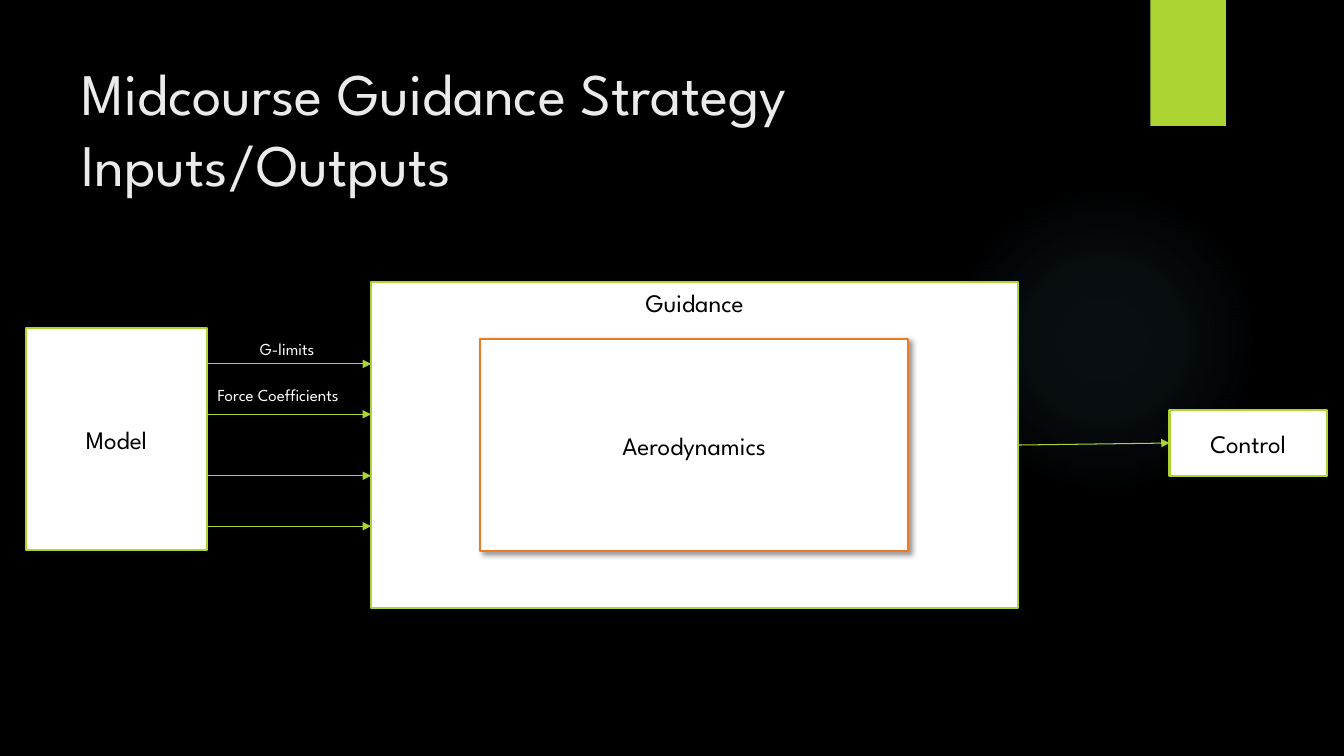
from lxml import etree
from pptx import Presentation
from pptx.dml.color import RGBColor
from pptx.enum.shapes import MSO_CONNECTOR, MSO_SHAPE
from pptx.enum.text import MSO_ANCHOR, PP_ALIGN
from pptx.oxml.ns import qn
from pptx.util import Inches, Pt

RECT, OVAL = MSO_SHAPE.RECTANGLE, MSO_SHAPE.OVAL
STRAIGHT = MSO_CONNECTOR.STRAIGHT
TOP, MIDDLE = MSO_ANCHOR.TOP, MSO_ANCHOR.MIDDLE
LEFT, CENTER = PP_ALIGN.LEFT, PP_ALIGN.CENTER
FONT = "League Spartan"
LIME, ORANGE, BLUE = "ACD433", "EF7A24", "7AC4F0"
WHITE, BLACK, PALE = "FFFFFF", "000000", "EBEBEB"


def color(code):
    return RGBColor.from_string(code)


def node(parent, tag, **attrs):
    """Add a drawing element with the given attributes."""
    child = etree.SubElement(parent, qn("a:" + tag))
    for name, value in attrs.items():
        child.set(name, str(value))
    return child


def tint(parent, code, percent):
    """Add a colour with the given opacity."""
    node(node(parent, "srgbClr", val=code), "alpha", val=percent * 1000)


def write(shape, text, size, code, align=LEFT, anchor=TOP):
    frame = shape.text_frame
    frame.word_wrap = True
    frame.vertical_anchor = anchor
    par = frame.paragraphs[0]
    par.alignment = align
    run = par.add_run()
    run.text = text
    run.font.name = FONT
    run.font.size = Pt(size)
    run.font.color.rgb = color(code)


def label(slide, box, text, size, code, anchor=TOP):
    shape = slide.shapes.add_textbox(*map(Inches, box))
    write(shape, text, size, code, anchor=anchor)


def plain(slide, kind, box):
    """Add a preset shape without shadow or outline."""
    shape = slide.shapes.add_shape(kind, *map(Inches, box))
    shape.shadow.inherit = False
    shape.line.fill.background()
    return shape


def shade(shape, alpha, blur, dist, angle):
    """Give the shape a black outer shadow."""
    effects = shape.element.spPr.find(qn("a:effectLst"))
    outer = node(effects, "outerShdw", blurRad=Pt(blur), dist=Pt(dist),
                 dir=angle * 60000, algn="ctr", rotWithShape=0)
    tint(outer, BLACK, alpha)


def block(slide, box, text, edge=LIME, anchor=MIDDLE):
    shape = plain(slide, RECT, box)
    shape.fill.solid()
    shape.fill.fore_color.rgb = color(WHITE)
    shape.line.color.rgb = color(edge)
    shape.line.width = Pt(1.5)
    write(shape, text, 18, BLACK, CENTER, anchor)
    return shape


def arrow(slide, start, end):
    link = slide.shapes.add_connector(STRAIGHT, *map(Inches, start + end))
    link.line.color.rgb = color(LIME)
    link.line.width = Pt(0.75)
    props = link.element.spPr
    node(props.find(qn("a:ln")), "tailEnd", type="triangle")
    node(props, "effectLst")
    return link


def glow(slide, box):
    shape = plain(slide, OVAL, box)
    shape.fill.background()
    props = shape.element.spPr
    blank = props.find(qn("a:noFill"))
    grad = etree.Element(qn("a:gradFill"), rotWithShape="1")
    stops = node(grad, "gsLst")
    for place, alpha in [(0, 7), (36, 6), (69, 0)]:
        tint(node(stops, "gs", pos=place * 1000), BLUE, alpha)
    focus = node(grad, "path", path="circle")
    node(focus, "fillToRect", l=50000, t=50000, r=50000, b=50000)
    props.replace(blank, grad)


def decor(slide):
    glow(slide, (9.41, 1.83, 3.08, 3.08))
    tab = plain(slide, RECT, (11.41, 0, 0.75, 1.25))
    tab.fill.solid()
    tab.fill.fore_color.rgb = color(LIME)
    shade(tab, 45, 3, 2, 90)


def guide(slide, box):
    """Draw the guidance block with the aerodynamics block inside."""
    left, top, width, height = box
    outer = block(slide, box, "Guidance", anchor=TOP)
    inner = (left + 1.08, top + 0.56, width - 2.17, height - 1.12)
    shade(block(slide, inner, "Aerodynamics", ORANGE), 40, 4, 3, 45)
    return outer


def inputs(slide, box):
    """Draw the model block's arrows across the gap given as box."""
    left, top, width, height = box
    for drop in (0, 0.5, 1.11, 1.61):
        level = top + drop
        arrow(slide, (left, level), (left + width, level))
    label(slide, (left + 0.42, top - 0.3, 0.88, 0.3), "G-limits", 12, WHITE)
    label(slide, (left, top + 0.16, 1.75, 0.3),
          "Force Coefficients", 12, WHITE)


def main():
    deck = Presentation()
    deck.slide_width, deck.slide_height = Inches(13.33), Inches(7.5)
    slide = deck.slides.add_slide(deck.slide_layouts[6])
    slide.background.fill.solid()
    slide.background.fill.fore_color.rgb = color(BLACK)

    decor(slide)
    label(slide, (0.71, 0.5, 10.29, 1.53),
          "Midcourse Guidance Strategy Inputs/Outputs", 42, PALE, MIDDLE)
    core = guide(slide, (3.68, 2.8, 6.42, 3.23))
    control = block(slide, (11.6, 4.07, 1.56, 0.65), "Control")
    block(slide, (0.26, 3.25, 1.79, 2.21), "Model")
    inputs(slide, (2.06, 3.61, 1.62, 1.61))
    output = arrow(slide, (10.1, 4.41), (11.6, 4.41))
    output.begin_connect(core, 3)
    output.end_connect(control, 1)
    deck.save("out.pptx")


if __name__ == "__main__":
    main()
